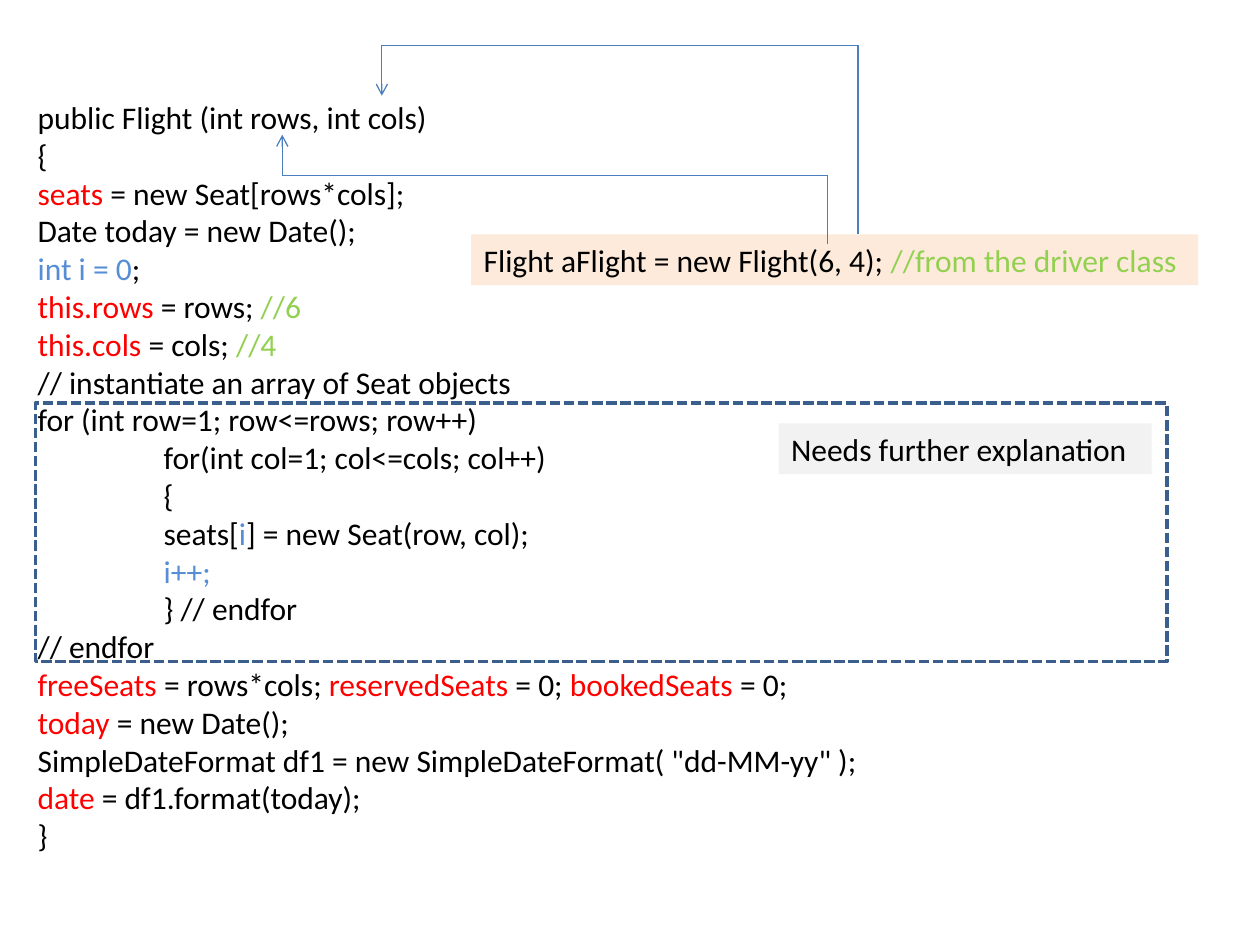
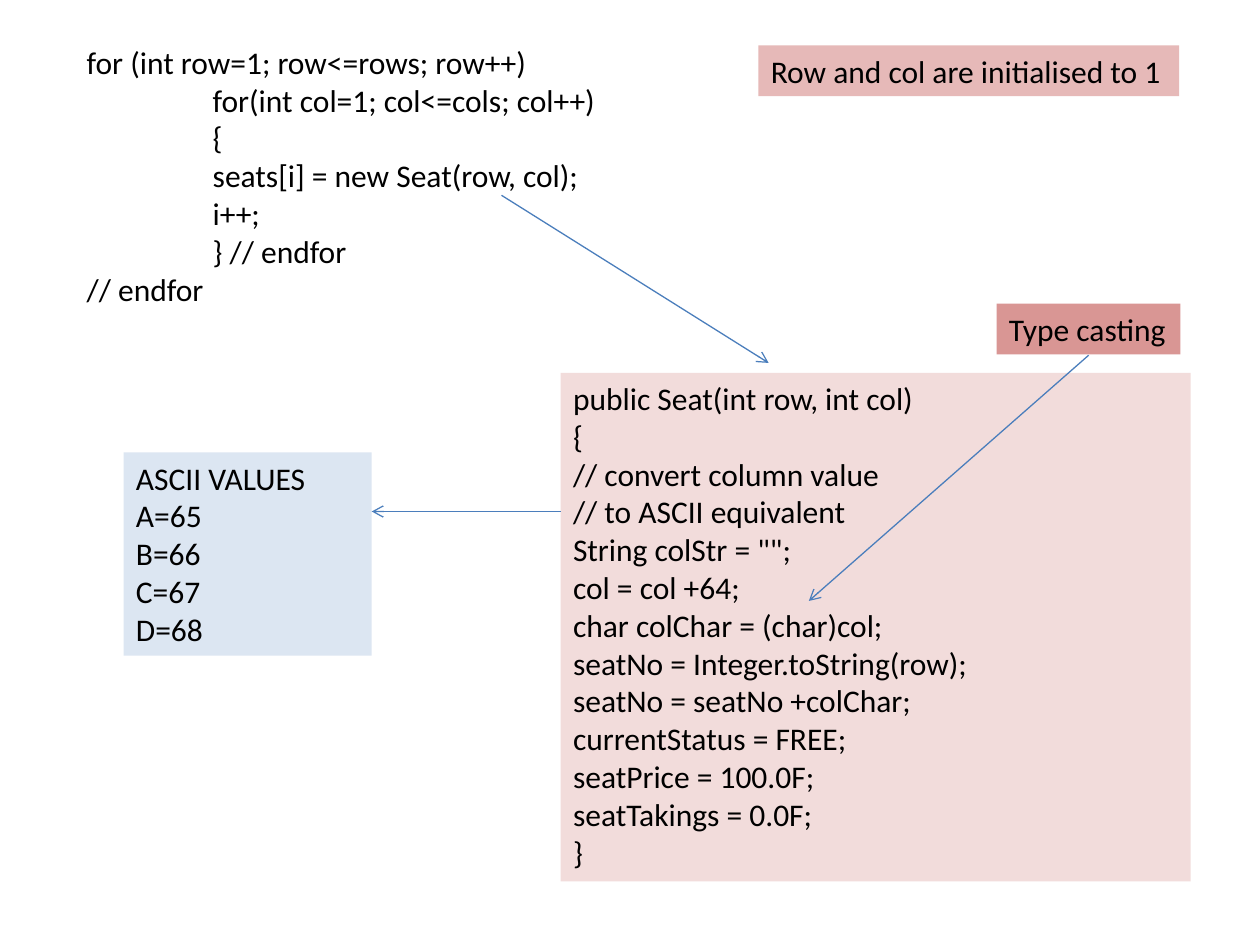
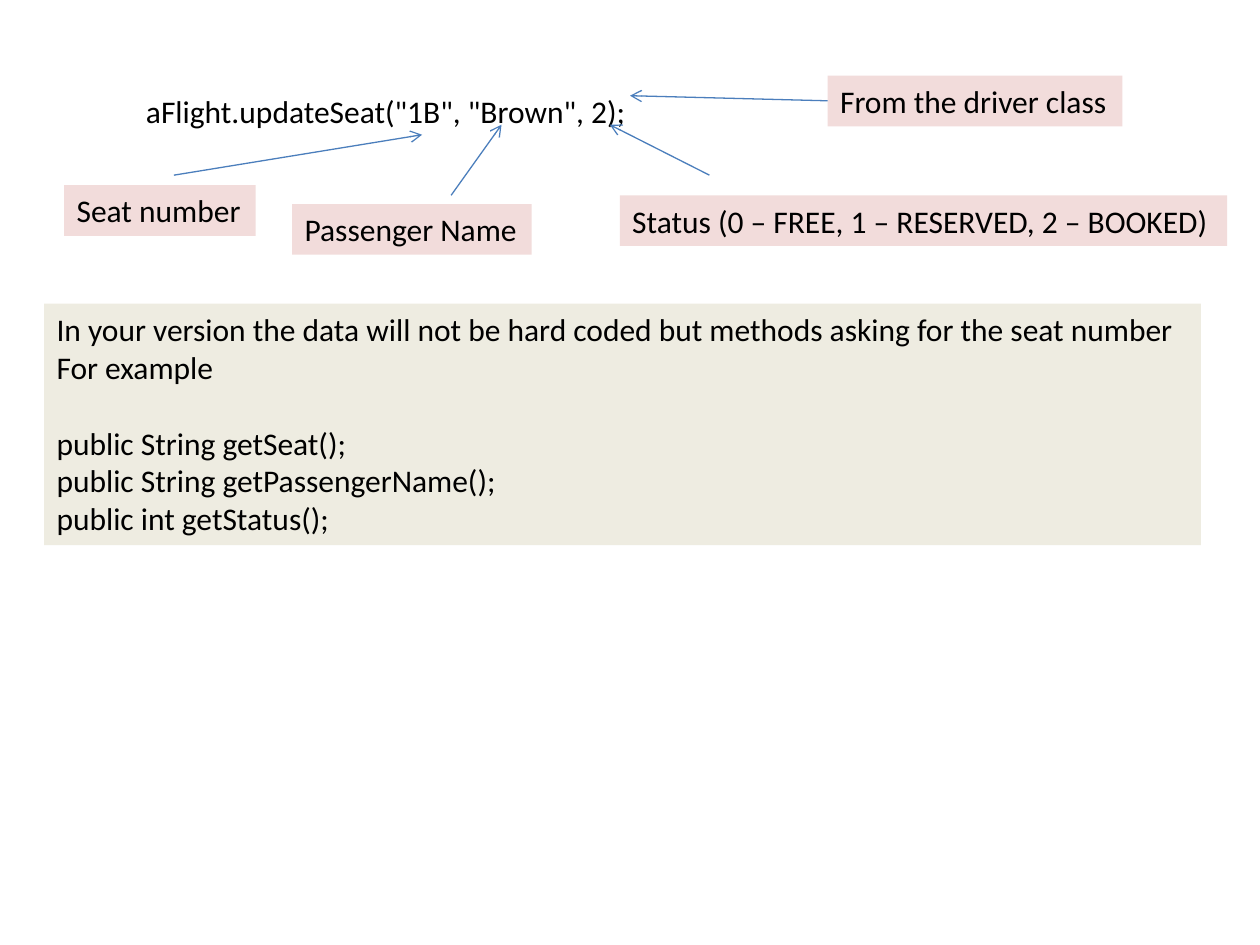
from dataclasses import dataclass
from itertools import pairwise

from lxml.etree import SubElement
from pptx import Presentation
from pptx.dml.color import RGBColor
from pptx.enum.dml import MSO_LINE
from pptx.enum.shapes import MSO_CONNECTOR, MSO_SHAPE
from pptx.enum.text import MSO_AUTO_SIZE
from pptx.oxml.ns import qn
from pptx.slide import Slide
from pptx.util import Pt

FONT = "Calibri"
FONT_SIZE = 18
LINE_HEIGHT = 21.8
BOX_INSET = 3.6
CODE_INDENT = 72

BLACK = "000000"
FIELD = "FF0000"
COMMENT = "92D050"
COUNTER = "558ED5"
ARROW = "4B7EBC"
FRAME = "3A5F8C"
PALE_ROSE = "F2DCDB"


@dataclass(frozen=True)
class Span:
    """A stretch of text in one colour."""
    text: str
    color: str = BLACK


@dataclass(frozen=True)
class Line:
    """A paragraph: its spans, left indent and space before, in points."""
    spans: tuple[Span, ...]
    indent: float = 0
    space_before: float = 0


@dataclass(frozen=True)
class Box:
    """A block of lines, with an optional background; lengths in points."""
    left: float
    top: float
    width: float
    lines: list[Line]
    fill: str | None = None
    wrap: bool = False


@dataclass(frozen=True)
class Route:
    """A path through points, with an arrowhead at its end."""
    points: tuple[tuple[float, float], ...]


def rgb(color: str) -> RGBColor:
    """Turn a hex string into a colour."""
    return RGBColor.from_string(color)


def line(*spans: Span | str, indent: float = 0, space_before: float = 0) -> Line:
    """Make a line, taking bare strings as black text."""
    return Line(tuple(Span(s) if isinstance(s, str) else s for s in spans),
                indent, space_before)


def plain(*texts: str) -> list[Line]:
    """Make one black line from each text."""
    return [line(text) for text in texts]


def seat_loop(counter_color: str) -> list[Line]:
    """Give the nested loop that creates seats, with its counter coloured."""
    body = (
        ("for(int col=1; col<=cols; col++)",),
        ("{",),
        ("seats[", Span("i", counter_color), "] = new Seat(row, col);"),
        (Span("i++;", counter_color),),
        ("} // endfor",),
    )
    return [line("for (int row=1; row<=rows; row++)"),
            *(line(*spans, indent=CODE_INDENT) for spans in body),
            line("// endfor")]


def draw_box(slide: Slide, box: Box) -> None:
    """Draw a text block whose height follows from its lines."""
    height = (2 * BOX_INSET + LINE_HEIGHT * len(box.lines)
              + sum(item.space_before for item in box.lines))
    shape = slide.shapes.add_textbox(
        Pt(box.left), Pt(box.top), Pt(box.width), Pt(height))
    if box.fill:
        shape.fill.solid()
        shape.fill.fore_color.rgb = rgb(box.fill)
    frame = shape.text_frame
    frame.word_wrap = box.wrap
    frame.auto_size = MSO_AUTO_SIZE.SHAPE_TO_FIT_TEXT
    for number, item in enumerate(box.lines):
        paragraph = frame.add_paragraph() if number else frame.paragraphs[0]
        if item.space_before:
            paragraph.space_before = Pt(item.space_before)
        if item.indent:
            paragraph._p.get_or_add_pPr().set("marL", str(Pt(item.indent)))
        for span in item.spans:
            run = paragraph.add_run()
            run.text = span.text
            run.font.name = FONT
            run.font.size = Pt(FONT_SIZE)
            run.font.color.rgb = rgb(span.color)


def draw_route(slide: Slide, route: Route) -> None:
    """Draw straight segments through the points, the last one an arrow."""
    for start, end in pairwise(route.points):
        segment = slide.shapes.add_connector(
            MSO_CONNECTOR.STRAIGHT, *map(Pt, (*start, *end)))
        segment.line.color.rgb = rgb(ARROW)
        segment.line.width = Pt(0.75)
        if end == route.points[-1]:
            SubElement(segment.line._get_or_add_ln(), qn("a:tailEnd"), type="arrow")
        SubElement(segment._element.spPr, qn("a:effectLst"))


def draw_dashed_frame(slide: Slide, left: float, top: float,
                      width: float, height: float) -> None:
    """Draw an unfilled rectangle with a dashed outline."""
    frame = slide.shapes.add_shape(
        MSO_SHAPE.RECTANGLE, Pt(left), Pt(top), Pt(width), Pt(height))
    frame.shadow.inherit = False
    frame.fill.background()
    frame.line.color.rgb = rgb(FRAME)
    frame.line.width = Pt(2)
    frame.line.dash_style = MSO_LINE.SQUARE_DOT


def add_slide(deck: Presentation, boxes: list[Box], routes: list[Route]) -> Slide:
    """Add a blank slide with its text blocks and arrows."""
    slide = deck.slides.add_slide(deck.slide_layouts[6])
    for box in boxes:
        draw_box(slide, box)
    for route in routes:
        draw_route(slide, route)
    return slide


def add_flight_slide(deck: Presentation) -> None:
    """Show the Flight constructor and the call that feeds it."""
    call = [line("Flight aFlight = new Flight(6, 4); ",
                 Span("//from the driver class", COMMENT))]
    constructor = [
        *plain("public Flight (int rows, int cols)", "{"),
        line(Span("seats", FIELD), " = new Seat[rows*cols];"),
        line("Date today = new Date();"),
        line(Span("int i = 0", COUNTER), ";"),
        line(Span("this.rows", FIELD), " = rows; ", Span("//6", COMMENT)),
        line(Span("this.cols", FIELD), " = cols; ", Span("//4", COMMENT)),
        line("// instantiate an array of Seat objects"),
        *seat_loop(COUNTER),
        line(Span("freeSeats", FIELD), " = rows*cols; ",
             Span("reservedSeats", FIELD), " = 0; ",
             Span("bookedSeats", FIELD), " = 0;"),
        line(Span("today", FIELD), " = new Date();"),
        line('SimpleDateFormat df1 = new SimpleDateFormat( "dd-MM-yy" );'),
        line(Span("date", FIELD), " = df1.format(today);"),
        line("}"),
    ]
    slide = add_slide(
        deck,
        [Box(269.3, 133.9, 415.4, call, "FDEADA"),
         Box(14.4, 52.4, 669, constructor, wrap=True)],
        [Route(((473, 139.7), (473, 100.1), (161.3, 100.1), (161.3, 77))),
         Route(((490.3, 133.9), (490.3, 25.9), (218.2, 25.9), (218.2, 54.7)))],
    )
    draw_dashed_frame(slide, 20.2, 230.4, 646.6, 147.6)
    draw_box(slide, Box(445, 241.9, 213.1, plain("Needs further explanation"), "F2F2F2"))


def add_seat_slide(deck: Presentation) -> None:
    """Show how the loop calls the Seat constructor."""
    constructor = plain(
        "public Seat(int row, int col)", "{", "// convert column value",
        "// to ASCII equivalent", 'String colStr = "";', "col = col +64;",
        "char colChar = (char)col;", "seatNo = Integer.toString(row);",
        "seatNo = seatNo +colChar;", "currentStatus = FREE;",
        "seatPrice = 100.0F;", "seatTakings = 0.0F;", "}")
    ascii_values = plain(
        "ASCII VALUES", *(f"{letter}={ord(letter)}" for letter in "ABCD"))
    add_slide(
        deck,
        [Box(42.5, 20.9, 629.3, seat_loop(BLACK), wrap=True),
         Box(320.4, 213.1, 360, constructor, PALE_ROSE, wrap=True),
         Box(70.6, 258.5, 141.8, ascii_values, "DCE6F2", wrap=True),
         Box(433.4, 25.9, 240.5, plain("Row and col are initialised to 1"), "E6B9B8"),
         Box(569.5, 173.5, 105.1, plain("Type casting"), "D99694")],
        [Route(((286.6, 111.6), (439.2, 207.4))),
         Route(((320.4, 292.3), (212.4, 292.3))),
         Route(((622.1, 203), (462.2, 343.4)))],
    )


def add_update_slide(deck: Presentation) -> None:
    """Explain the arguments of updateSeat and the methods to write."""
    advice = [
        *plain("In your version the data will not be hard coded but methods "
               "asking for the seat number", "For example"),
        line("public String getSeat();", space_before=LINE_HEIGHT),
        *plain("public String getPassengerName();", "public int getStatus();"),
    ]
    labels = (
        (473, 43.2, 168.5, "From the driver class"),
        (36.7, 105.8, 109.4, "Seat number"),
        (167, 116.6, 136.8, "Passenger Name"),
        (354.2, 111.6, 347, "Status (0 – FREE, 1 – RESERVED, 2 – BOOKED)"),
    )
    add_slide(
        deck,
        [Box(76.3, 49, 289.4, plain('aFlight.updateSeat("1B", "Brown", 2);'), wrap=True),
         *(Box(left, top, width, plain(text), PALE_ROSE)
           for left, top, width, text in labels),
         Box(25.2, 173.5, 661, advice, "EEECE1")],
        [Route(((473, 57.6), (360, 54.7))),
         Route(((99.4, 100.1), (241.2, 77))),
         Route(((257.8, 111.6), (286.6, 71.3))),
         Route(((405.4, 100.1), (348.5, 71.3)))],
    )


def main() -> None:
    """Build the deck and save it."""
    deck = Presentation()
    deck.slide_width, deck.slide_height = Pt(720), Pt(540)
    add_flight_slide(deck)
    add_seat_slide(deck)
    add_update_slide(deck)
    deck.save("out.pptx")


main()
